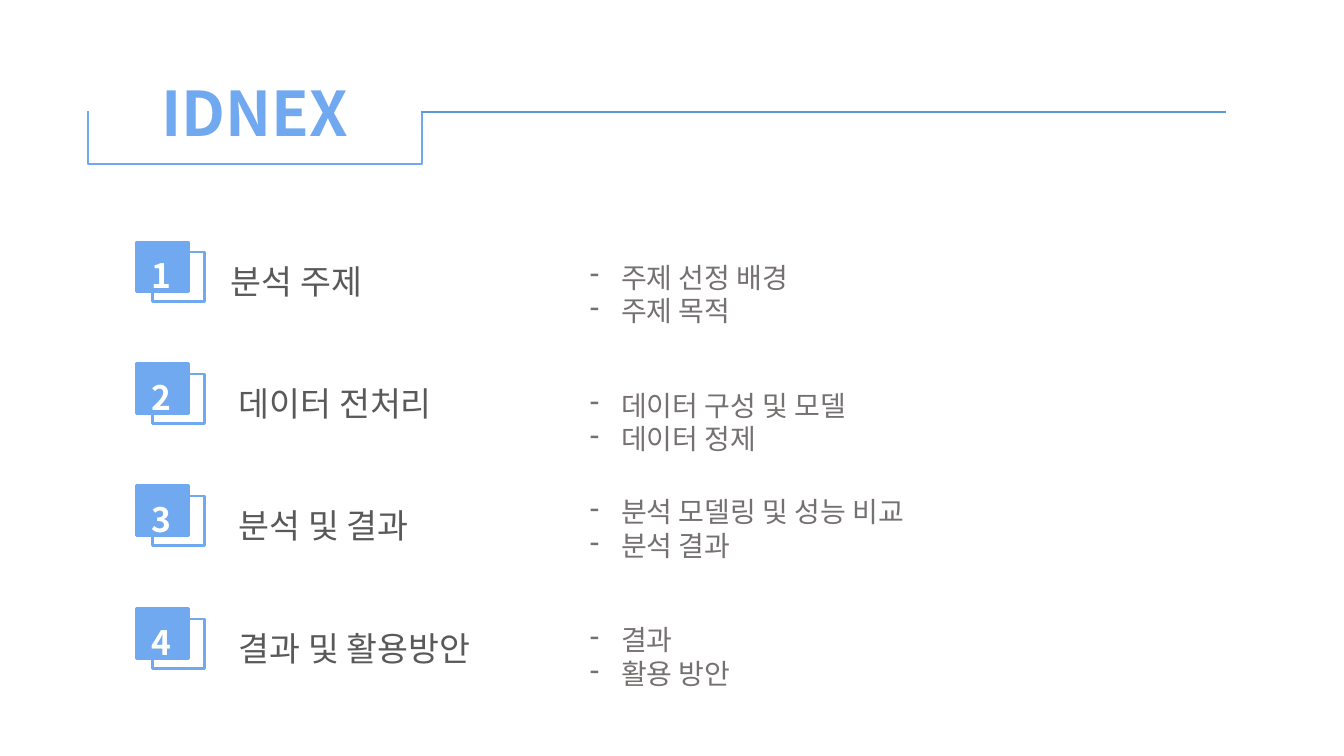
from dataclasses import dataclass

from lxml.etree import SubElement
from pptx import Presentation
from pptx.dml.color import RGBColor
from pptx.enum.shapes import MSO_CONNECTOR, MSO_SHAPE
from pptx.enum.text import MSO_ANCHOR, MSO_AUTO_SIZE, PP_ALIGN
from pptx.oxml.ns import qn
from pptx.shapes.autoshape import Shape
from pptx.slide import Slide
from pptx.text.text import TextFrame, _Paragraph
from pptx.util import Emu, Pt

PX = 9144  # 100 px to the inch


@dataclass(frozen=True)
class Theme:
    font: str = "Noto Sans CJK KR"
    accent: RGBColor = RGBColor(0x70, 0xA9, 0xF0)
    rule: RGBColor = RGBColor(0x5B, 0x9B, 0xD5)
    label: RGBColor = RGBColor(0x59, 0x59, 0x59)
    detail: RGBColor = RGBColor(0x76, 0x71, 0x71)
    white: RGBColor = RGBColor(0xFF, 0xFF, 0xFF)
    title_pt: int = 44
    label_pt: int = 24
    detail_pt: int = 20
    rule_pt: float = 1.75
    square_pt: float = 2


@dataclass(frozen=True)
class Chapter:
    label: str
    label_left: int
    label_width: int
    details: tuple[str, ...]
    details_top: int
    details_width: int


THEME = Theme()
ROWS_TOP, ROWS_SPAN = 240, 364  # first and last row are ROWS_SPAN apart
CHAPTERS = (
    Chapter("분석 주제", 219, 156, ("주제 선정 배경", "주제 목적"), 253, 298),
    Chapter("데이터 전처리", 227, 219, ("데이터 구성 및 모델", "데이터 정제"), 380, 298),
    Chapter("분석 및 결과", 227, 197, ("분석 모델링 및 성능 비교", "분석 결과"), 486, 352),
    Chapter("결과 및 활용방안", 227, 260, ("결과", "활용 방안"), 613, 352),
)


def px(n: int) -> Emu:
    return Emu(n * PX)


def place(s: Shape, left: int, top: int, width: int, height: int) -> None:
    s.left, s.top, s.width, s.height = px(left), px(top), px(width), px(height)


def style(p: _Paragraph, size: int, color: RGBColor, bold: bool = False) -> None:
    for r in p.runs:
        r.font.size, r.font.bold, r.font.name = Pt(size), bold, THEME.font
        r.font.color.rgb = color
        SubElement(r._r.get_or_add_rPr(), qn("a:ea"), typeface=THEME.font)


def set_frame(tf: TextFrame, wrap: bool) -> None:
    tf.word_wrap = wrap
    tf.auto_size = MSO_AUTO_SIZE.SHAPE_TO_FIT_TEXT
    tf.vertical_anchor = MSO_ANCHOR.TOP


def add_label(slide: Slide, text: str, box: tuple[int, int, int, int],
              color: RGBColor, bold: bool = False) -> None:
    s = slide.shapes.add_textbox(*map(px, box))
    tf = s.text_frame
    tf.text = text
    set_frame(tf, wrap=False)
    p = tf.paragraphs[0]
    p.line_spacing = 1.5
    style(p, THEME.label_pt, color, bold)


def add_square(slide: Slide, left: int, top: int, filled: bool) -> None:
    s = slide.shapes.add_shape(MSO_SHAPE.RECTANGLE, px(left), px(top), px(52), px(49))
    s.shadow.inherit = False
    if filled:
        s.fill.solid()
        s.fill.fore_color.rgb = THEME.accent
    else:
        s.fill.background()
    s.line.color.rgb = THEME.accent
    s.line.width = Pt(THEME.square_pt)


def fill_list(s: Shape, chapter: Chapter) -> None:
    place(s, 575, chapter.details_top, chapter.details_width, 77)
    tf = s.text_frame
    tf.text = "\n".join(chapter.details)
    set_frame(tf, wrap=True)
    for p in tf.paragraphs:
        p.space_before, p.line_spacing = Pt(0), 1.0
        pPr = p._p.get_or_add_pPr()
        pPr.set("marL", str(px(31)))
        pPr.set("indent", str(-px(31)))
        SubElement(pPr, qn("a:buFontTx"))
        SubElement(pPr, qn("a:buChar"), char="-")
        style(p, THEME.detail_pt, THEME.detail)


def add_header(slide: Slide) -> None:
    # Title
    s = slide.shapes.title
    place(s, 135, 69, 235, 84)
    tf = s.text_frame
    tf.text = "IDNEX"
    set_frame(tf, wrap=True)
    p = tf.paragraphs[0]
    p.alignment = PP_ALIGN.CENTER
    style(p, THEME.title_pt, THEME.accent, bold=True)

    # Bracket under the title, open at the top
    bracket = slide.shapes.add_shape(
        MSO_SHAPE.RIGHT_BRACKET, px(227), px(-29), px(52), px(331))
    bracket.rotation = 90
    bracket.adjustments[0] = 0
    bracket.shadow.inherit = False
    bracket.fill.background()

    # Rule to the right of the bracket
    rule = slide.shapes.add_connector(
        MSO_CONNECTOR.STRAIGHT, px(418), px(111), px(1216), px(111))
    SubElement(rule._element.spPr, qn("a:effectLst"))
    for s, color in ((bracket, THEME.accent), (rule, THEME.rule)):
        s.line.color.rgb = color
        s.line.width = Pt(THEME.rule_pt)


def add_chapter(slide: Slide, i: int, chapter: Chapter) -> None:
    top = ROWS_TOP + i * ROWS_SPAN // (len(CHAPTERS) - 1)
    add_square(slide, 151, top + 10, filled=False)
    add_square(slide, 135, top, filled=True)
    add_label(slide, str(i + 1), (140, top - 12, 41, 61), THEME.white, bold=True)
    add_label(slide, chapter.label,
              (chapter.label_left, top - 6, chapter.label_width, 64), THEME.label)


def main() -> None:
    prs = Presentation()
    prs.slide_width, prs.slide_height = px(1333), px(750)
    # The comparison layout has a title and four body placeholders
    slide = prs.slides.add_slide(prs.slide_layouts.get_by_name("Comparison"))
    add_header(slide)
    bodies = [s for s in slide.placeholders if s.placeholder_format.idx > 0]
    for i, (body, chapter) in enumerate(zip(bodies, CHAPTERS)):
        fill_list(body, chapter)
        add_chapter(slide, i, chapter)
    prs.save("out.pptx")


if __name__ == "__main__":
    main()
